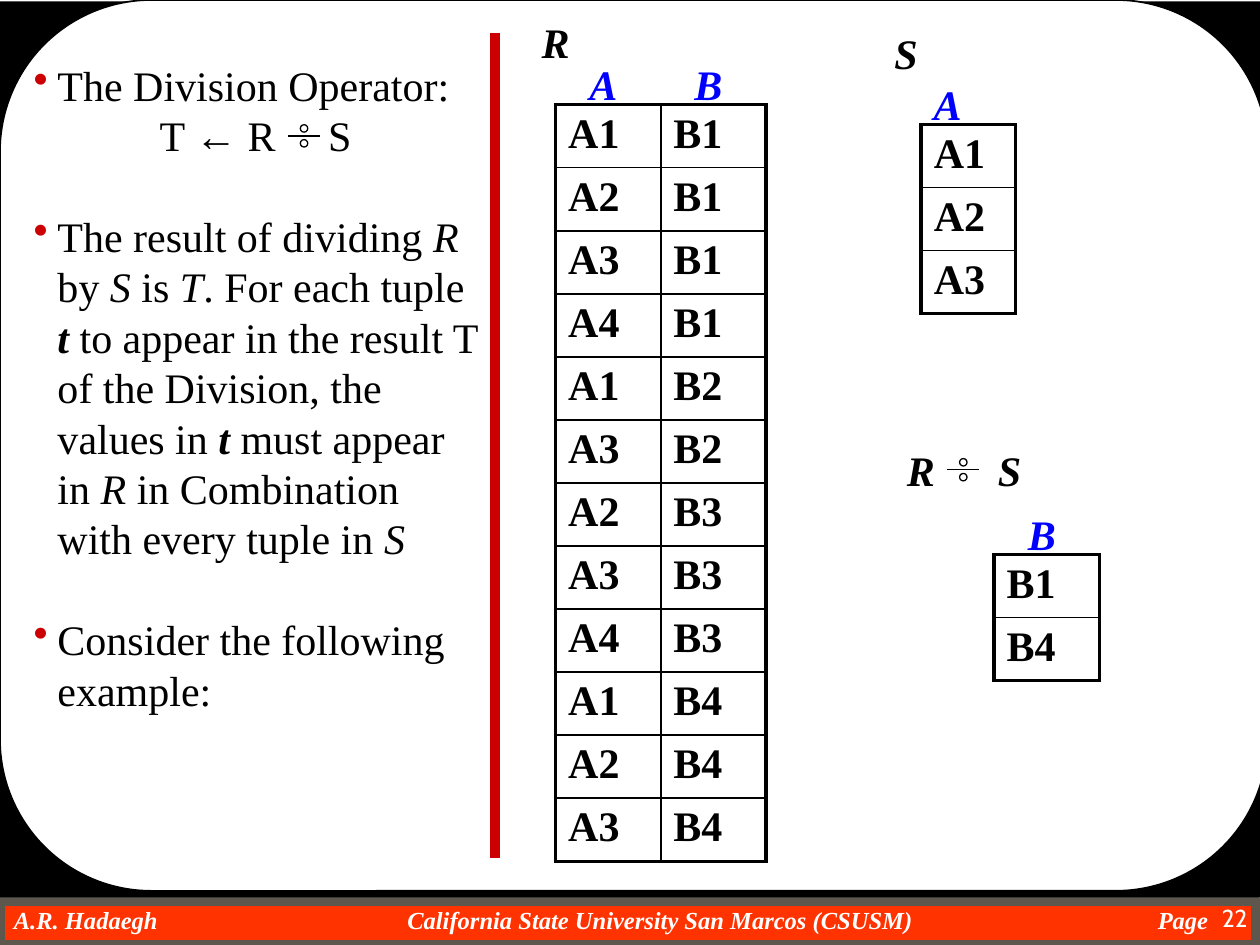
from dataclasses import dataclass

from lxml.etree import SubElement
from pptx import Presentation
from pptx.dml.color import RGBColor
from pptx.enum.shapes import MSO_CONNECTOR as Connector, MSO_SHAPE as Shape
from pptx.enum.text import PP_ALIGN as Align
from pptx.oxml.ns import qn
from pptx.util import Cm, Pt


@dataclass(frozen=True)
class Theme:
    black: str = "000000"
    white: str = "FFFFFF"
    red: str = "CC0000"
    blue: str = "0000FF"
    bar: str = "FF3300"
    bar_edge: str = "5E574E"
    serif: str = "Times New Roman"
    sans: str = "Cabin"
    text_size: float = 24
    footer_size: float = 14
    line_pitch: float = 28.8
    symbol_gap: int = 24
    thick: float = 2.25
    thin: float = 1
    hairline: float = 0.75


@dataclass(frozen=True)
class Span:
    text: str
    bold: bool = False
    italic: bool = False
    spacing: float = 0


@dataclass(frozen=True)
class Line:
    spans: tuple[Span, ...]
    bulleted: bool = True
    gap_before: bool = False


@dataclass(frozen=True)
class Relation:
    left: float
    top: float
    column_width: float
    headings: str
    heading_inset: float
    rows: tuple[tuple[str, ...], ...]


THEME = Theme()
ROW_HEIGHT = 1.27
HEADING_RISE = 1.05

RELATIONS = (
    Relation(11.2, 2.11, 2.12, "AB", 0.43, (
        ("A1", "B1"), ("A2", "B1"), ("A3", "B1"), ("A4", "B1"),
        ("A1", "B2"), ("A3", "B2"),
        ("A2", "B3"), ("A3", "B3"), ("A4", "B3"),
        ("A1", "B4"), ("A2", "B4"), ("A3", "B4"))),
    Relation(18.57, 2.51, 1.9, "A", 0, (("A1",), ("A2",), ("A3",))),
    Relation(20.04, 11.18, 2.12, "B", 0.43, (("B1",), ("B4",))),
)

R, S, T = (Span(name, italic=True) for name in "RST")
TUPLE = Span("t", bold=True, italic=True)
EXPLANATION = (
    Line((Span("The Division Operator:"),)),
    Line((Span("T ← R"), Span(" ", spacing=THEME.symbol_gap), Span("S")), bulleted=False),
    Line((Span("The result of dividing "), R, Span(" by "), S, Span(" is "), T,
          Span(". For each tuple "), TUPLE,
          Span(" to appear in the result T of the Division, the values in "), TUPLE,
          Span(" must appear in "), R,
          Span(" in Combination with every tuple in "), S), gap_before=True),
    Line((Span("Consider the following example:"),), gap_before=True),
)


def rgb(color: str) -> RGBColor:
    return RGBColor.from_string(color)


def style(run, color: str = THEME.black, size: float = THEME.text_size,
          face: str = THEME.serif, bold: bool = False, italic: bool = False) -> None:
    font = run.font
    font.name, font.size, font.bold, font.italic = face, Pt(size), bold, italic
    font.color.rgb = rgb(color)


def add_spans(paragraph, spans: tuple[Span, ...]) -> None:
    for span in spans:
        run = paragraph.add_run()
        run.text = span.text
        style(run, bold=span.bold, italic=span.italic)
        if span.spacing:
            run.font._element.set("spc", str(int(span.spacing * 100)))


def add_box(slide, left: float, top: float, width: float, height: float, wrap: bool = True):
    frame = slide.shapes.add_textbox(Cm(left), Cm(top), Cm(width), Cm(height)).text_frame
    frame.word_wrap = wrap
    return frame


def add_label(slide, left: float, top: float, name: str, color: str = THEME.black) -> None:
    frame = add_box(slide, left, top, 1.07, 1.27, wrap=False)
    frame.text = name
    style(frame.paragraphs[0].runs[0], color, bold=True, italic=True)


def add_shape(shapes, kind, left: float, top: float, width: float, height: float,
              fill: str = "", edge: str = "", weight: float = 1):
    shape = shapes.add_shape(kind, Cm(left), Cm(top), Cm(width), Cm(height))
    shape.shadow.inherit = False
    if fill:
        shape.fill.solid()
        shape.fill.fore_color.rgb = rgb(fill)
    else:
        shape.fill.background()
    if edge:
        shape.line.color.rgb = rgb(edge)
        shape.line.width = Pt(weight)
    else:
        shape.line.fill.background()
    return shape


def add_rule(shapes, x1: float, y1: float, x2: float, y2: float,
             color: str, weight: float) -> None:
    rule = shapes.add_connector(Connector.STRAIGHT, Cm(x1), Cm(y1), Cm(x2), Cm(y2))
    rule.line.color.rgb = rgb(color)
    rule.line.width = Pt(weight)
    SubElement(rule._element.spPr, qn("a:effectLst"))


def add_division_sign(slide, x: float, y: float) -> None:
    parts = slide.shapes.add_group_shape().shapes
    add_rule(parts, x - 0.32, y, x + 0.32, y, THEME.black, THEME.hairline)
    dot = 0.15
    for center in (y - dot, y + dot):
        add_shape(parts, Shape.OVAL, x - dot / 2, center - dot / 2, dot, dot,
                  edge=THEME.black, weight=THEME.hairline)


def add_border(cell, side: str, weight: float) -> None:
    border = SubElement(cell._tc.get_or_add_tcPr(), qn(f"a:ln{side}"), w=str(Pt(weight)))
    fill = SubElement(border, qn("a:solidFill"))
    SubElement(fill, qn("a:srgbClr"), val=THEME.black)


def add_relation(slide, relation: Relation) -> None:
    row_count, column_count = len(relation.rows), len(relation.headings)
    table = slide.shapes.add_table(
        row_count, column_count, Cm(relation.left), Cm(relation.top),
        Cm(relation.column_width * column_count), Cm(ROW_HEIGHT * row_count)).table
    table.first_row = table.horz_banding = False
    for r, row in enumerate(relation.rows):
        for c, value in enumerate(row):
            cell = table.cell(r, c)
            outer = {"L": c == 0, "R": c == column_count - 1,
                     "T": r == 0, "B": r == row_count - 1}
            for side, is_outer in outer.items():
                add_border(cell, side, THEME.thick if is_outer else THEME.thin)
            cell.fill.background()
            cell.text_frame.text = value
            style(cell.text_frame.paragraphs[0].runs[0], bold=True)
    for c, heading in enumerate(relation.headings):
        add_label(slide, relation.left + c * relation.column_width + relation.heading_inset,
                  relation.top - HEADING_RISE, heading, THEME.blue)


def add_backdrop(slide) -> None:
    add_shape(slide.shapes, Shape.RECTANGLE, 0, 18.16, 25.32, 0.89,
              THEME.bar, THEME.bar_edge, 6)
    add_shape(slide.shapes, Shape.RECTANGLE, 0, 0.03, 25.4, 18.06, THEME.black)
    panel = add_shape(slide.shapes, Shape.ROUNDED_RECTANGLE, 0, 0, 25.55, 17.96,
                      THEME.white, THEME.black)
    panel.adjustments[0] = 0.17


def add_footer(slide) -> None:
    footer = add_box(slide, 0.28, 18.24, 24.3, 0.58)
    footer.margin_left = footer.margin_right = footer.margin_top = footer.margin_bottom = 0
    footer.text = "A.R. Hadaegh\tCalifornia State University San Marcos (CSUSM)\tPage"
    credits = footer.paragraphs[0]
    stops = SubElement(credits._p.get_or_add_pPr(), qn("a:tabLst"))
    for position, alignment in ((13.03, "ctr"), (23.06, "l")):
        SubElement(stops, qn("a:tab"), pos=str(Cm(position)), algn=alignment)
    for run in credits.runs:
        style(run, THEME.white, THEME.footer_size, bold=True, italic=True)

    page = add_box(slide, 23.5, 18.08, 1.9, 0.97)
    page.text = "22"
    page.paragraphs[0].alignment = Align.RIGHT
    style(page.paragraphs[0].runs[0], THEME.white, THEME.footer_size, THEME.sans)


def add_explanation(slide) -> None:
    frame = add_box(slide, 0.43, 1.07, 9.55, 13.44)
    for index, line in enumerate(EXPLANATION):
        paragraph = frame.paragraphs[0] if index == 0 else frame.add_paragraph()
        paragraph.line_spacing = Pt(THEME.line_pitch)
        paragraph.space_before = Pt(THEME.line_pitch if line.gap_before else 0)
        properties = paragraph._p.get_or_add_pPr()
        properties.set("marL", str(Cm(0.48 if line.bulleted else 3.02)))
        properties.set("indent", str(Cm(-0.48)))
        if line.bulleted:
            SubElement(SubElement(properties, qn("a:buClr")), qn("a:srgbClr"), val=THEME.red)
            SubElement(properties, qn("a:buChar"), char="•")
        add_spans(paragraph, line.spans)


def main() -> None:
    deck = Presentation()
    deck.slide_width, deck.slide_height = Cm(25.4), Cm(19.05)
    slide = deck.slides.add_slide(deck.slide_layouts[6])
    add_backdrop(slide)
    add_footer(slide)
    add_explanation(slide)
    add_division_sign(slide, 6.13, 2.74)
    add_rule(slide.shapes, 9.98, 0.66, 9.98, 17.3, THEME.red, 6)
    for relation in RELATIONS:
        add_relation(slide, relation)
    add_label(slide, 10.67, 0.2, "R")
    add_label(slide, 17.78, 0.43, "S")
    quotient = add_box(slide, 18.03, 8.84, 2.82, 1.27, wrap=False)
    add_spans(quotient.paragraphs[0], (
        Span("R", True, True), Span(" ", True, True, THEME.symbol_gap + 6),
        Span("S", True, True)))
    add_division_sign(slide, 19.42, 9.47)
    deck.save("out.pptx")


if __name__ == "__main__":
    main()
